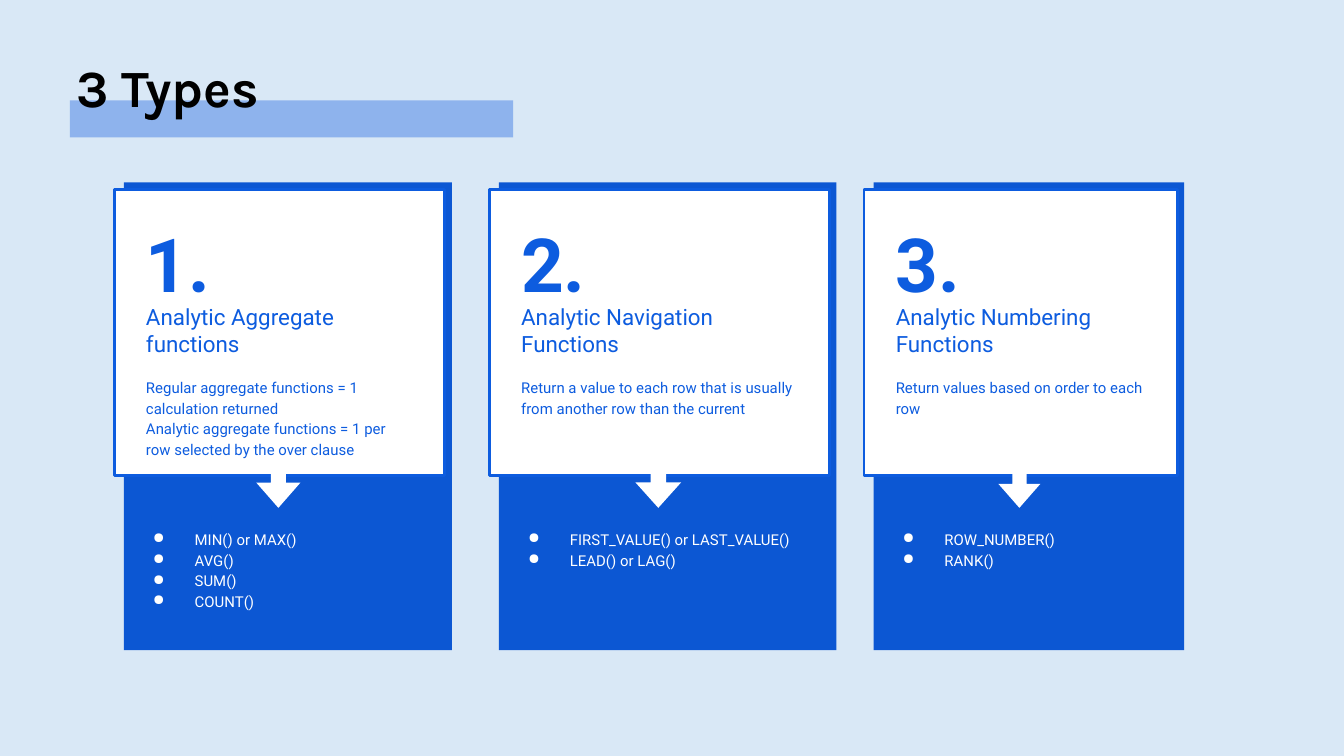
"""Build the slide on the three types of analytic functions."""
from dataclasses import dataclass

from lxml import etree
from pptx import Presentation
from pptx import util as u
from pptx.dml.color import RGBColor
from pptx.enum import shapes, text
from pptx.oxml import ns

SKY, BAND, BLUE, BRIGHT, WHITE, BLACK = (
    "D9E8F6", "8EB3ED", "0C57D3", "0D5CDF", "FFFFFF", "000000")


@dataclass(frozen=True)
class Box:
    left: float
    top: float
    width: float
    height: float

    def lengths(self) -> list[u.Cm]:
        return [u.Cm(n) for n in (self.left, self.top, self.width, self.height)]


@dataclass(frozen=True)
class Style:
    size: float
    color: str
    bold: bool = False
    font: str = "Roboto"
    spacing: float = 1.0
    bullet: str = ""


@dataclass(frozen=True)
class Card:
    left: float
    width: float
    number: str
    heading: str
    summary: str
    functions: str


TITLE = Style(28, BLACK, bold=True, font="Karla")
NUMBER = Style(40, BRIGHT, bold=True)
HEADING = Style(12, BRIGHT)
SUMMARY = Style(8, BRIGHT, spacing=1.15)
FUNCTIONS = Style(8, WHITE, spacing=1.15, bullet="●")

CARDS = [
    Card(2.16, 6.2, "1.", "Analytic Aggregate functions",
         "Regular aggregate functions = 1 calculation returned\n"
         "Analytic aggregate functions = 1 per row selected by the over clause",
         "MIN() or MAX()\nAVG()\nSUM()\nCOUNT()"),
    Card(9.25, 6.38, "2.", "Analytic Navigation Functions",
         "Return a value to each row that is usually from another row than the current",
         "FIRST_VALUE() or LAST_VALUE()\nLEAD() or LAG()"),
    Card(16.33, 5.87, "3.", "Analytic Numbering Functions",
         "Return values based on order to each row",
         "ROW_NUMBER()\nRANK()"),
]


def paint(fill, color: str) -> None:
    fill.solid()
    fill.fore_color.rgb = RGBColor.from_string(color)


def add_block(parent, box: Box, color: str, outline: str = "",
              kind=shapes.MSO_SHAPE.RECTANGLE):
    block = parent.add_shape(kind, *box.lengths())
    block.shadow.inherit = False
    paint(block.fill, color)
    if outline:
        paint(block.line.fill, outline)
        block.line.width = u.Pt(1.5)
    else:
        block.line.fill.background()
    return block


def add_bullet(paragraph, style: Style) -> None:
    properties = paragraph._p.get_or_add_pPr()
    properties.set("marL", str(u.Cm(1.27)))
    properties.set("indent", str(u.Cm(-0.79)))
    tint = etree.SubElement(properties, ns.qn("a:buClr"))
    etree.SubElement(tint, ns.qn("a:srgbClr"), val=style.color)
    etree.SubElement(properties, ns.qn("a:buChar"), char=style.bullet)


def add_words(parent, box: Box, words: str, style: Style) -> None:
    frame = parent.add_textbox(*box.lengths()).text_frame
    frame.word_wrap = True
    frame.vertical_anchor = text.MSO_ANCHOR.TOP
    frame.margin_left = frame.margin_right = u.Cm(0.25)
    frame.margin_top = frame.margin_bottom = u.Cm(0.25)
    frame.text = words
    for paragraph in frame.paragraphs:
        if style.bullet:
            add_bullet(paragraph, style)
        paragraph.line_spacing = style.spacing
        for run in paragraph.runs:
            run.font.name = style.font
            run.font.size = u.Pt(style.size)
            run.font.bold = style.bold
            paint(run.font.fill, style.color)


def add_arrow(parent, center: float, thickness: float) -> None:
    length, middle = 0.84, 9.18
    box = Box(center - length / 2, middle - thickness / 2, length, thickness)
    arrow = add_block(parent, box, WHITE, kind=shapes.MSO_SHAPE.RIGHT_ARROW)
    arrow.rotation = 90
    arrow.adjustments[0], arrow.adjustments[1] = 0.34, 0.57


def add_card(slide, card: Card) -> None:
    group = slide.shapes.add_group_shape().shapes
    inner_left, inner_width = card.left + 0.35, card.width - 0.66
    add_block(group, Box(card.left + 0.18, 3.45, card.width, 8.84), BLUE)
    add_block(group, Box(card.left, 3.58, card.width + 0.05, 5.41), WHITE, BRIGHT)
    add_words(group, Box(inner_left, 5.49, inner_width, 1.32), card.heading, HEADING)
    add_words(group, Box(inner_left, 6.86, inner_width, 1.8), card.summary, SUMMARY)
    add_words(group, Box(inner_left, 3.86, inner_width, 1.47), card.number, NUMBER)
    add_arrow(group, card.left + card.width / 2, card.width * 0.135)
    add_words(group, Box(card.left, 9.73, card.width, 2.36), card.functions, FUNCTIONS)


def main() -> None:
    deck = Presentation()
    deck.slide_width, deck.slide_height = u.Cm(25.4), u.Cm(14.29)
    slide = deck.slides.add_slide(deck.slide_layouts[6])
    paint(slide.background.fill, SKY)
    add_block(slide.shapes, Box(1.32, 1.9, 8.38, 0.7), BAND)
    add_words(slide.shapes, Box(1.19, 0.79, 18.52, 1.32), "3 Types", TITLE)
    for card in CARDS:
        add_card(slide, card)
    deck.save("out.pptx")


if __name__ == "__main__":
    main()
